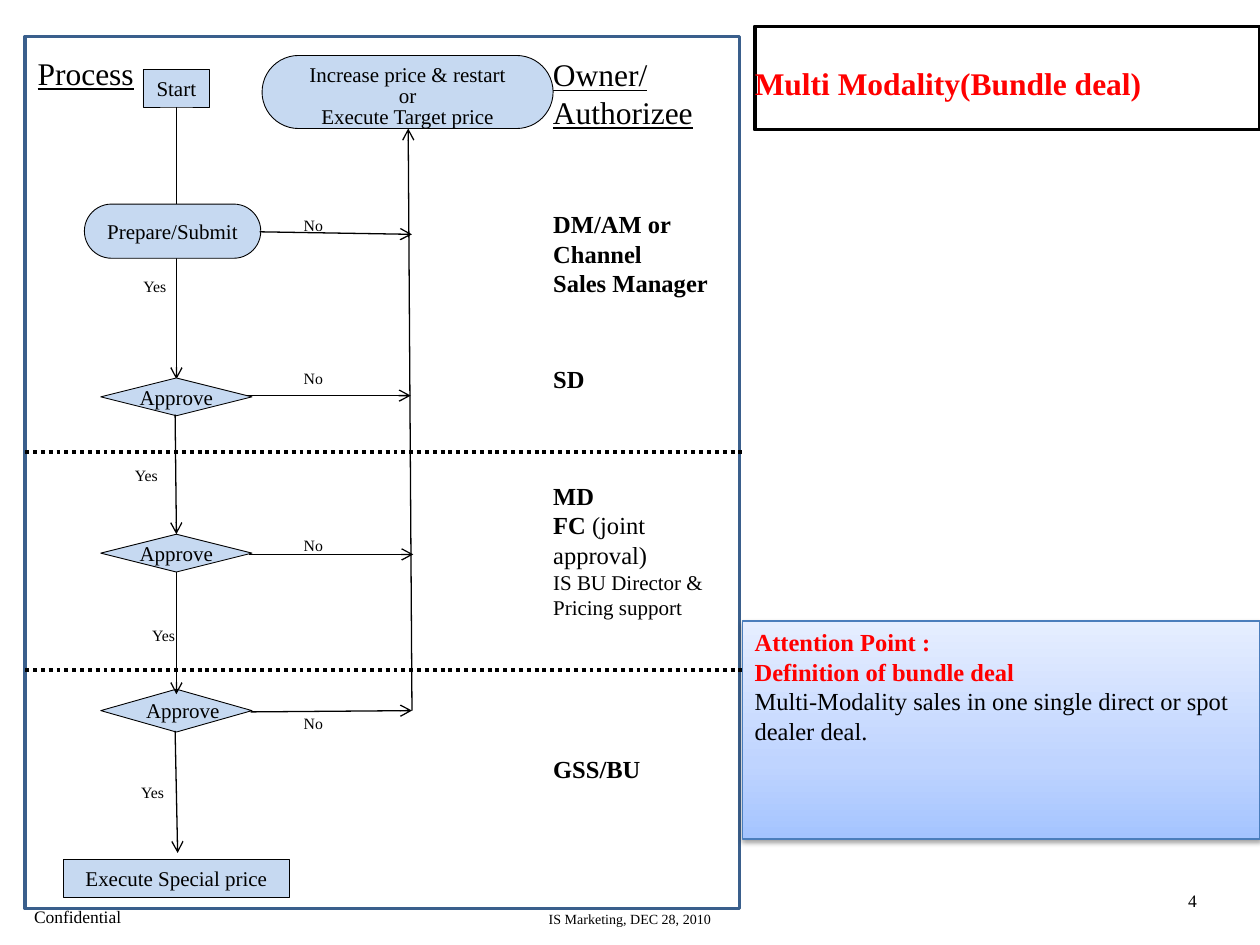
from dataclasses import dataclass

from lxml.etree import SubElement
from pptx import Presentation
from pptx.dml.color import RGBColor
from pptx.enum.dml import MSO_LINE
from pptx.enum.shapes import MSO_CONNECTOR, MSO_SHAPE as SHAPE
from pptx.enum.text import MSO_ANCHOR as ANCHOR, MSO_AUTO_SIZE as AUTO, PP_ALIGN as ALIGN
from pptx.oxml.ns import qn
from pptx.util import Inches, Pt


@dataclass(frozen=True)
class Theme:
    font: str = "Times New Roman"
    ink: str = "000000"
    paper: str = "FFFFFF"
    alert: str = "FF0000"
    node: str = "C6D9F1"
    frame: str = "3A5F8C"
    edge: str = "4B7EBC"
    fade: tuple = ((0, "A4C4FF"), (35, "BFD4FF"), (100, "E6EEFF"))
    head: int = 18
    body: int = 14
    text: int = 12
    foot: int = 10
    label: int = 9
    tiny: int = 8


T = Theme()
AXIS, BACK, OWNER = 1.4, 3.26, 4.29    # columns: flow, return line, owners
LEFT, RIGHT = 0.2, 5.87                # frame edges

TITLE = "Multi Modality(Bundle deal)"
OWNERS = [
    "DM/AM or  Channel",
    "Sales Manager",
    [("SD", {"gap": 38})],
    [("MD", {"gap": 50})],
    [("FC ", {}), ("(joint approval)", {"bold": False})],
    [("IS BU Director & Pricing support", {"size": T.text, "bold": False})],
    [("GSS/BU", {"gap": 77})],
]
NOTE = [
    "Attention Point :",
    "Definition of bundle deal",
    [("Multi-Modality sales in one single direct or spot dealer deal.",
      {"color": T.ink, "bold": False})],
]
RESTART = ["Increase price & restart", "or", "Execute Target price"]
# text, preset, centre x, top, width, height
NODES = [
    ("Start", SHAPE.RECTANGLE, AXIS, 0.55, 0.53, 0.3),
    ("Prepare/Submit", SHAPE.ROUNDED_RECTANGLE, 1.37, 1.62, 1.4, 0.43),
    ("Execute Special price", SHAPE.RECTANGLE, AXIS, 6.82, 1.79, 0.3),
]
# top, height, left inset
CHECKS = [(3, 0.3, 0.1), (4.24, 0.3, 0.1), (5.47, 0.34, 0.2)]
# text, left, top, alignment
LABELS = [("No", 2.36, top, ALIGN.LEFT) for top in (1.69, 2.9, 4.23, 5.64)] + [
    ("Yes", 0.99, 2.17, ALIGN.RIGHT),
    ("Yes", 1.02, 3.67, ALIGN.LEFT),
    ("Yes", 1.06, 4.94, ALIGN.RIGHT),
    ("Yes", 1.07, 6.19, ALIGN.LEFT),
]
ARROWS = [
    (2.06, 1.84, 3.27, 1.86), (1.96, 3.14, BACK, 3.14),
    (1.98, 4.4, 3.28, 4.4), (1.99, 5.65, 3.27, 5.64),
    (1.39, 3.29, AXIS, 4.24), (AXIS, 4.54, AXIS, 5.51),
    (1.39, 5.8, 1.41, 6.77), (3.27, 5.64, 3.24, 1.02),
]
RULES = (3.59, 5.32)


def rgb(code):
    return RGBColor.from_string(code)


def write(shape, paras, size=T.text, color=T.ink, bold=False, line=False,
          align=ALIGN.LEFT, anchor=ANCHOR.TOP, inset=(0.1, 0.05, 0.1, 0.05),
          wrap=True, pitch=None):
    """Fill a shape; a paragraph is a string or a list of (text, changes) runs."""
    frame = shape.text_frame
    frame.auto_size, frame.word_wrap = AUTO.NONE, wrap
    frame.vertical_anchor = anchor
    (frame.margin_left, frame.margin_top,
     frame.margin_right, frame.margin_bottom) = map(Inches, inset)
    for i, para in enumerate(paras):
        p = frame.add_paragraph() if i else frame.paragraphs[0]
        runs = [(para, {})] if isinstance(para, str) else para
        p.alignment = align
        p.space_before = Pt(runs[0][1].get("gap", 0))
        if pitch:
            p.line_spacing = Pt(pitch)
        for text, diff in runs:
            run = p.add_run()
            run.text = text
            font = run.font
            font.name, font.underline = T.font, line
            font.size = Pt(diff.get("size", size))
            font.bold = diff.get("bold", bold)
            font.color.rgb = rgb(diff.get("color", color))


def paint(shape, fill, edge, width):
    if fill:
        shape.fill.solid()
        shape.fill.fore_color.rgb = rgb(fill)
    else:
        shape.fill.background()
    shape.line.color.rgb = rgb(edge)
    shape.line.width = Pt(width)
    shape.shadow.inherit = False


def block(slide, kind, box, fill=T.node, edge=T.ink, width=0.5):
    shape = slide.shapes.add_shape(kind, *map(Inches, box))
    paint(shape, fill, edge, width)
    if kind == SHAPE.ROUNDED_RECTANGLE:
        shape.adjustments[0] = 0.5
    return shape


def label(slide, box, paras, **fmt):
    write(slide.shapes.add_textbox(*map(Inches, box)), paras, **fmt)


def join(slide, ends, width=0.75, arrow=True, dash=None):
    link = slide.shapes.add_connector(MSO_CONNECTOR.STRAIGHT, *map(Inches, ends))
    link.line.color.rgb = rgb(T.ink)
    link.line.width = Pt(width)
    if dash:
        link.line.dash_style = dash
    props = link.element.spPr
    if arrow:
        SubElement(props.find(qn("a:ln")), qn("a:tailEnd"), type="arrow")
    SubElement(props, qn("a:effectLst"))


def check(slide, top, high, inset):
    """Draw one approval diamond on the flow axis."""
    mid, half = top + high / 2, 0.6
    pen = slide.shapes.build_freeform(Inches(AXIS - half), Inches(mid))
    pen.add_line_segments([(Inches(x), Inches(y)) for x, y in (
        (AXIS, top), (AXIS + half, mid), (AXIS, top + high))], close=True)
    shape = pen.convert_to_shape()
    paint(shape, T.node, T.ink, 0.5)
    write(shape, ["Approve"], align=ALIGN.CENTER, anchor=ANCHOR.MIDDLE,
          inset=(inset, 0.05, 0.1, 0.05))


def fade(shape):
    """Give a shape the theme's upward gradient and a soft shadow below."""
    shape.fill.gradient()
    shape.fill.gradient_angle = 90
    stops = shape.element.spPr.find(qn("a:gradFill")).find(qn("a:gsLst"))
    for stop in list(stops):
        stops.remove(stop)
    for pos, code in T.fade:
        stop = SubElement(stops, qn("a:gs"), pos=str(pos * 1000))
        SubElement(stop, qn("a:srgbClr"), val=code)
    glow = SubElement(shape.element.spPr.find(qn("a:effectLst")), qn("a:outerShdw"),
                      blurRad=str(Pt(3.1)), dist=str(Pt(1.6)), dir="5400000",
                      rotWithShape="0")
    tint = SubElement(glow, qn("a:srgbClr"), val=T.ink)
    SubElement(tint, qn("a:alpha"), val="38000")


def place(shape, box):
    shape.left, shape.top, shape.width, shape.height = map(Inches, box)


def main():
    deck = Presentation()
    deck.slide_width, deck.slide_height = Inches(10), Inches(7.5)
    slide = deck.slides.add_slide(deck.slide_layouts[1])

    title, owners = slide.shapes.title, slide.placeholders[1]
    place(title, (5.99, 0.21, 4.01, 0.82))
    paint(title, T.paper, T.ink, 2)
    write(title, [TITLE], size=T.head, color=T.alert, bold=True, inset=(0, 0.3, 0, 0))
    place(owners, (OWNER, 1.61, 1.53, 4.95))
    write(owners, OWNERS, size=T.body, bold=True)
    for p in owners.text_frame.paragraphs:
        props = p._p.get_or_add_pPr()
        props.set("marL", "0")
        props.set("indent", "0")
        SubElement(props, qn("a:buNone"))

    bare = {"anchor": ANCHOR.BOTTOM, "inset": (0, 0, 0, 0)}
    label(slide, (0.27, 7.19, 2.01, 0.17), ["Confidential"], size=T.foot, **bare)
    label(slide, (2.22, 7.19, 5.56, 0.17), ["IS Marketing, DEC 28, 2010"],
          size=T.tiny, align=ALIGN.CENTER, **bare)
    label(slide, (7.17, 6.95, 2.33, 0.4), ["4"], size=T.foot, align=ALIGN.RIGHT,
          anchor=ANCHOR.MIDDLE, inset=(0, 0, 0, 0))

    join(slide, (AXIS, 0.85, AXIS, 3.01))
    block(slide, SHAPE.RECTANGLE, (LEFT, 0.29, RIGHT - LEFT, 6.92), None, T.frame, 2)
    heads = {"size": T.head, "line": True, "wrap": False}
    label(slide, (LEFT, 0.38, 0.98, 0.4), ["Process"], **heads)
    label(slide, (OWNER, 0.39, 1.32, 0.71), ["Owner/", "Authorizee"], **heads)
    for y in RULES:
        join(slide, (LEFT, y, 5.9, y), 2.25, False, MSO_LINE.ROUND_DOT)

    for text, kind, x, top, wide, high in NODES:
        write(block(slide, kind, (x - wide / 2, top, wide, high)), [text],
              align=ALIGN.CENTER, anchor=ANCHOR.MIDDLE, wrap=False)
    for item in CHECKS:
        check(slide, *item)
    write(block(slide, SHAPE.ROUNDED_RECTANGLE, (2.08, 0.44, 2.31, 0.58)), RESTART,
          align=ALIGN.CENTER, inset=(0, 0, 0, 0), pitch=T.text)
    for text, x, top, align in LABELS:
        label(slide, (x, top, 0.38, 0.23), [text], size=T.label, align=align,
              inset=(0.05,) * 4, pitch=T.label)
    for ends in ARROWS:
        join(slide, ends)

    note = block(slide, SHAPE.RECTANGLE, (5.89, 4.93, 4.11, 1.73), edge=T.edge, width=0.75)
    fade(note)
    write(note, NOTE, size=T.body, color=T.alert, bold=True)
    deck.save("out.pptx")


if __name__ == "__main__":
    main()
